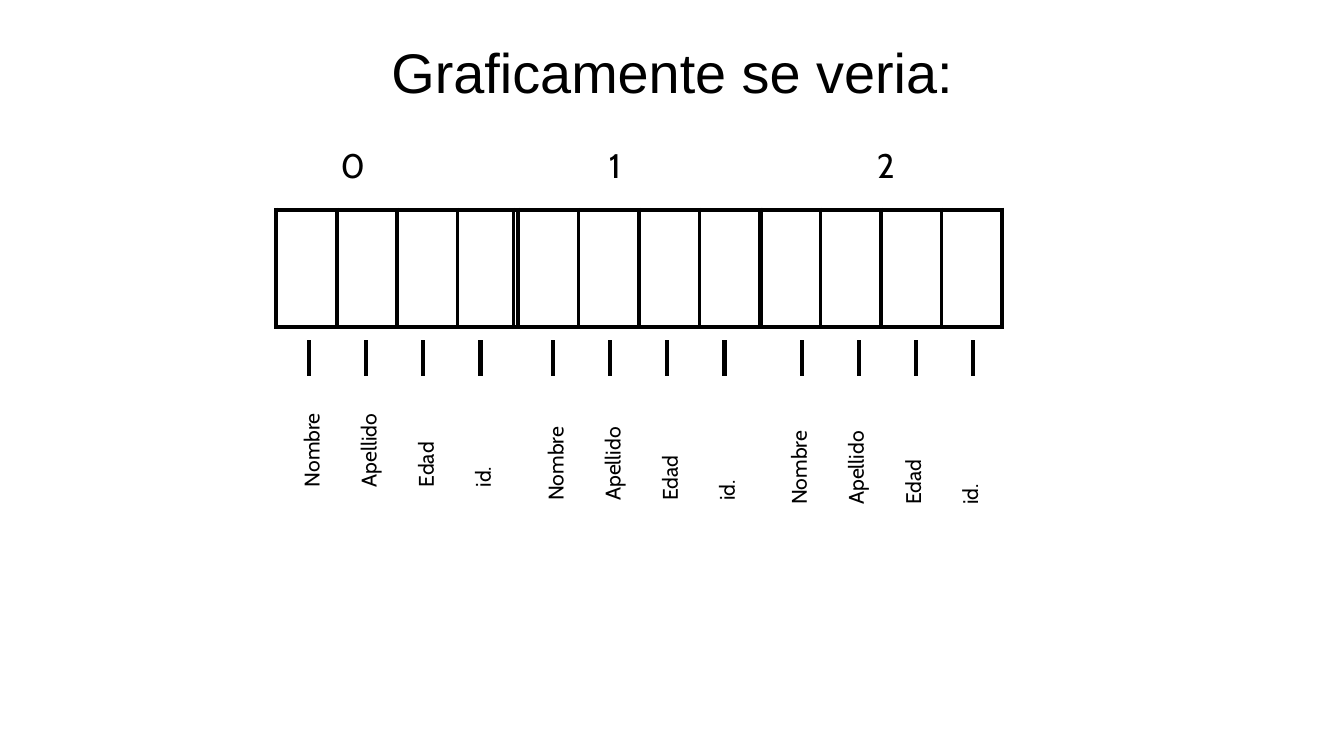
from dataclasses import dataclass

from lxml import etree
from pptx import Presentation
from pptx.dml.color import RGBColor
from pptx.enum.shapes import MSO_CONNECTOR
from pptx.enum.text import MSO_ANCHOR, MSO_AUTO_SIZE, PP_ALIGN
from pptx.oxml.ns import qn
from pptx.slide import Slide
from pptx.text.text import TextFrame
from pptx.util import Inches, Pt

STRAIGHT = MSO_CONNECTOR.STRAIGHT
TOP = MSO_ANCHOR.TOP
GROW = MSO_AUTO_SIZE.SHAPE_TO_FIT_TEXT
LEFT, CENTER = PP_ALIGN.LEFT, PP_ALIGN.CENTER

COLORS = {"ink": "000000", "paper": "FFFFFF"}
TITLE_ONLY = 5
ARRAY_LEFT, ARRAY_TOP, ARRAY_HEIGHT = 4.11, 3.12, 1.75
CELL_WIDTH = 0.9
FIELD_PITCH = 0.85
TICK_TOP, TICK_BOTTOM = 5.06, 5.6
LABEL_HEIGHT = 0.43


@dataclass(frozen=True)
class Field:
    name: str
    length: float


@dataclass(frozen=True)
class Record:
    index: str
    index_left: float
    first_tick: float
    first_label: float
    label_bottom: float


FIELDS = [Field("Nombre", 1.44), Field("Apellido", 1.44), Field("Edad", 0.92), Field("id.", 1.44)]
RECORDS = [
    Record("0", 5.07, 4.6, 4.57, 7.25),
    Record("1", 9.06, 8.23, 8.2, 7.45),
    Record("2", 13.05, 11.93, 11.82, 7.51),
]


def write(frame: TextFrame, text: str, font: str, size: float, spacing: float,
          align: PP_ALIGN = LEFT) -> None:
    frame.margin_left = frame.margin_right = frame.margin_top = frame.margin_bottom = 0
    frame.word_wrap = True
    frame.auto_size = GROW
    frame.vertical_anchor = TOP
    frame.text = text
    paragraph = frame.paragraphs[0]
    paragraph.alignment = align
    paragraph.line_spacing = Pt(spacing)
    paragraph.font.name = font
    paragraph.font.size = Pt(size)
    paragraph.font.color.rgb = RGBColor.from_string(COLORS["ink"])


def draw_cells(slide: Slide, left: float, widths: list[float]) -> None:
    table = slide.shapes.add_table(
        1, len(widths), Inches(left), Inches(ARRAY_TOP),
        Inches(sum(widths)), Inches(ARRAY_HEIGHT)).table
    table.first_row = table.horz_banding = False
    for column, width in zip(table.columns, widths):
        column.width = Inches(width)
    for cell in table.iter_cells():
        properties = cell._tc.get_or_add_tcPr()
        for side in ("lnL", "lnR", "lnT", "lnB"):
            border = etree.SubElement(properties, qn(f"a:{side}"), w=str(Pt(4.54)))
            fill = etree.SubElement(border, qn("a:solidFill"))
            etree.SubElement(fill, qn("a:srgbClr"), val=COLORS["ink"])
        cell.fill.background()


def draw_tick(slide: Slide, x: float) -> None:
    tick = slide.shapes.add_connector(
        STRAIGHT, Inches(x), Inches(TICK_TOP), Inches(x), Inches(TICK_BOTTOM))
    tick.line.color.rgb = RGBColor.from_string(COLORS["ink"])
    tick.line.width = Pt(4.5)
    etree.SubElement(tick._element.spPr, qn("a:effectLst"))


def draw_label(slide: Slide, field: Field, center: float, bottom: float) -> None:
    label = slide.shapes.add_textbox(
        Inches(center - field.length / 2),
        Inches(bottom - (field.length + LABEL_HEIGHT) / 2),
        Inches(field.length), Inches(LABEL_HEIGHT))
    label.rotation = 270
    write(label.text_frame, field.name, "Cabin", 22.7, 33.4)


def draw_record(slide: Slide, record: Record) -> None:
    index = slide.shapes.add_textbox(
        Inches(record.index_left), Inches(2.01), Inches(2.84), Inches(0.7))
    write(index.text_frame, record.index, "Cabin", 36.5, 53.6)
    for position, field in enumerate(FIELDS):
        offset = position * FIELD_PITCH
        draw_tick(slide, record.first_tick + offset)
        draw_label(slide, field, record.first_label + offset, record.label_bottom)


def main() -> None:
    presentation = Presentation()
    presentation.slide_width, presentation.slide_height = Inches(20), Inches(11.25)
    slide = presentation.slides.add_slide(presentation.slide_layouts[TITLE_ONLY])
    slide.background.fill.solid()
    slide.background.fill.fore_color.rgb = RGBColor.from_string(COLORS["paper"])

    title = slide.shapes.title
    title.left, title.top = Inches(5.17), Inches(0.7)
    title.width, title.height = Inches(9.66), Inches(0.91)
    write(title.text_frame, "Graficamente se veria:", "Arial", 59.8, 62.2, CENTER)

    draw_cells(slide, ARRAY_LEFT, [3.53, 3.68, 3.59])
    record_width = CELL_WIDTH * len(FIELDS)
    for position in (2, 0, 1):
        draw_cells(slide, ARRAY_LEFT + position * record_width, [CELL_WIDTH] * len(FIELDS))
    for record in RECORDS:
        draw_record(slide, record)

    presentation.save("out.pptx")


if __name__ == "__main__":
    main()
